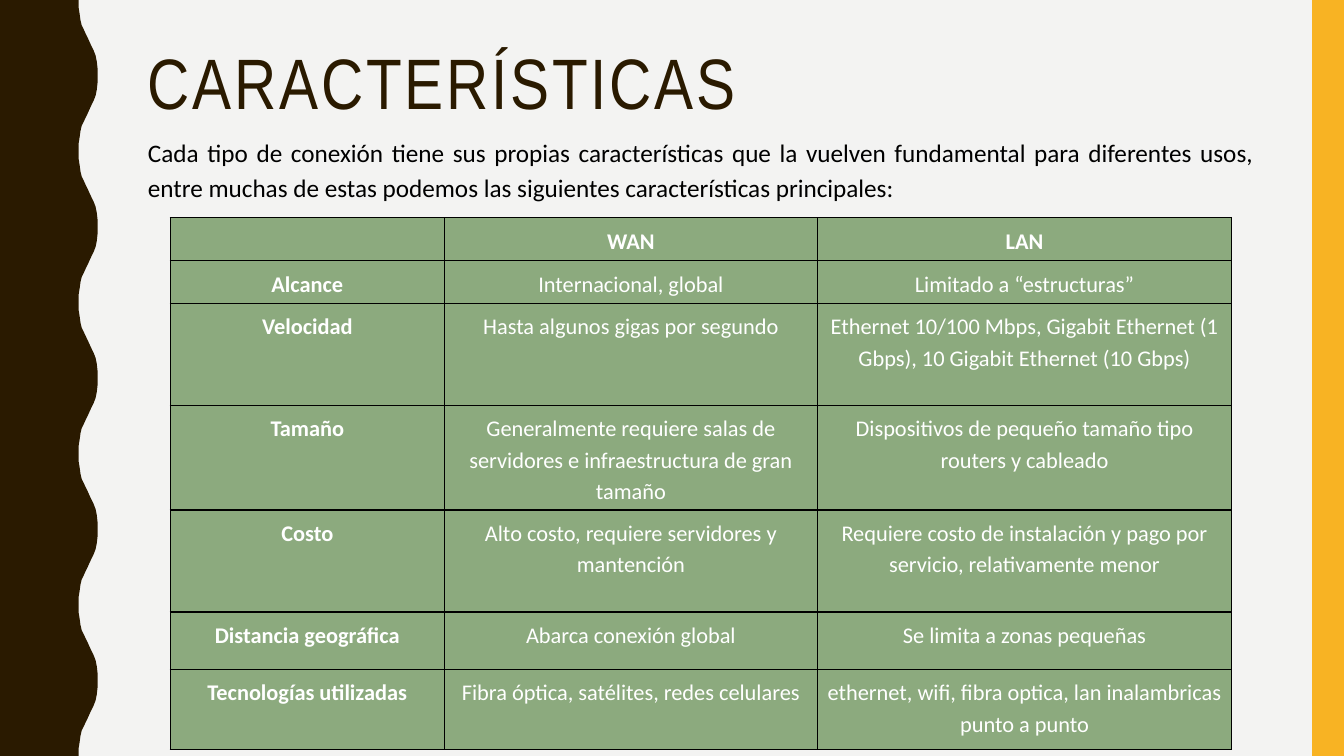
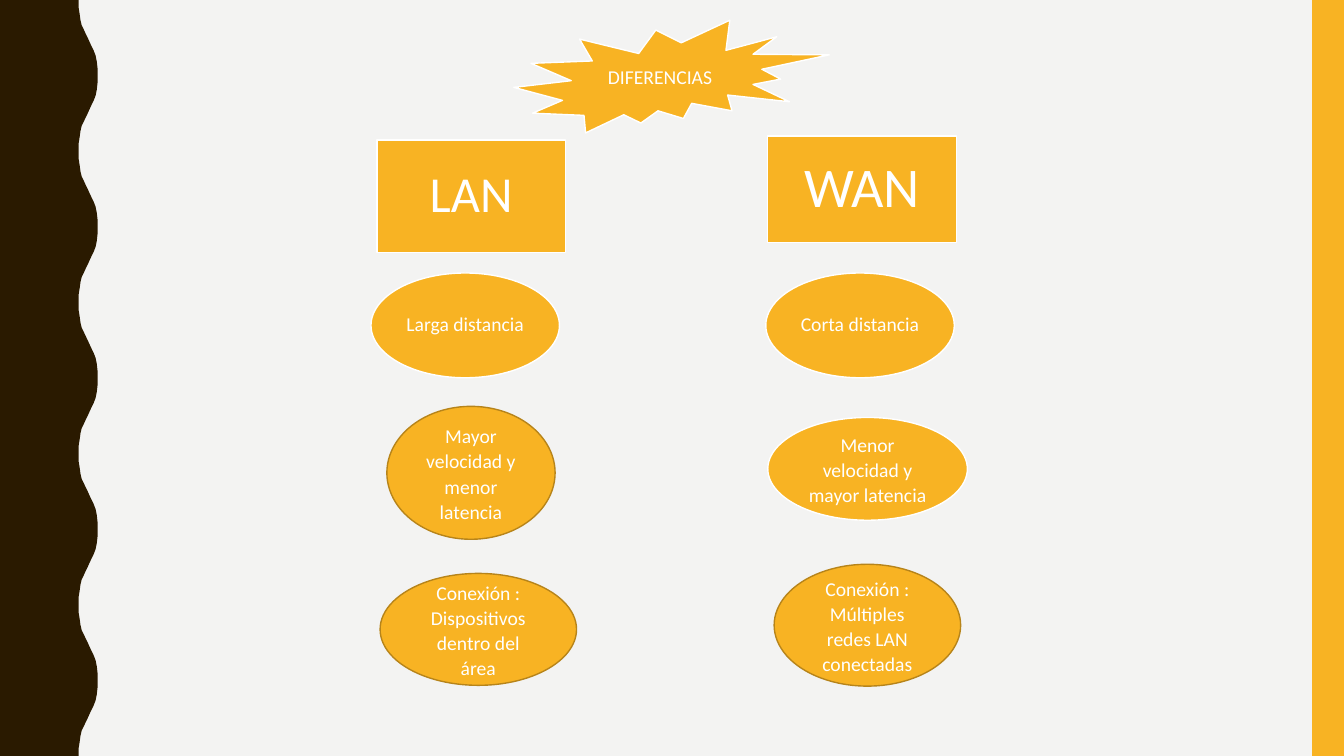
from lxml import etree
from pptx import Presentation
from pptx.dml.color import RGBColor
from pptx.enum import shapes, text
from pptx.oxml import ns
from pptx.util import Cm, Pt

PAPER = RGBColor(0xF3, 0xF3, 0xF2)
BROWN = RGBColor(0x2A, 0x1A, 0x00)
AMBER = RGBColor(0xF8, 0xB3, 0x23)
OCHRE = RGBColor(0xB7, 0x84, 0x1A)
GREEN = RGBColor(0x8C, 0xAA, 0x7E)
WHITE = RGBColor(0xFF, 0xFF, 0xFF)
BLACK = RGBColor(0x00, 0x00, 0x00)

TITLE_FONT = "Arial Narrow"
BODY_FONT = "Calibri"
WIDTH, HEIGHT = 33.87, 19.05

# Rising half of one wave (x, y); the falling half mirrors it
WAVES = 5
PERIOD = HEIGHT / WAVES
RISE = [(1.98, 0), (1.98, 0.18), (2.01, 0.36), (2.03, 0.51), (2.06, 0.64),
        (2.11, 0.74), (2.16, 0.85), (2.21, 0.95), (2.26, 1.06), (2.31, 1.17),
        (2.36, 1.27), (2.41, 1.4), (2.44, 1.55), (2.46, 1.73), (2.46, 1.9)]

TABLE_COLS = [6.91, 9.4, 10.44]
TABLE_ROWS = [0.94, 0.94, 2.57, 2.57, 2.57, 1.45, 2.01]
TABLE_TEXT = [
    ["", "WAN", "LAN"],
    ["Alcance", "Internacional, global", "Limitado a “estructuras”"],
    ["Velocidad", "Hasta algunos gigas por segundo",
     "Ethernet 10/100 Mbps, Gigabit Ethernet (1 Gbps), "
     "10 Gigabit Ethernet (10 Gbps)"],
    ["Tamaño",
     "Generalmente requiere salas de servidores e infraestructura de gran tamaño",
     "Dispositivos de pequeño tamaño tipo routers y cableado"],
    ["Costo", "Alto costo, requiere servidores y mantención",
     "Requiere costo de instalación y pago por servicio, relativamente menor"],
    ["Distancia geográfica", "Abarca conexión global",
     "Se limita a zonas pequeñas"],
    ["Tecnologías utilizadas", "Fibra óptica, satélites, redes celulares",
     "ethernet, wifi, fibra optica, lan inalambricas punto a punto"],
]


def set_text(tf, content, size, color, font=BODY_FONT, bold=False,
             align=text.PP_ALIGN.CENTER, spacing=1.0):
    """Write one formatted paragraph and return its run."""
    tf.word_wrap = True
    p = tf.paragraphs[0]
    p.text = content
    p.alignment = align
    p.line_spacing = spacing
    r = p.runs[0]
    r.font.name = font
    r.font.size = Pt(size)
    r.font.bold = bold
    r.font.color.rgb = color
    return r


def set_insets(frame, inset):
    """Give a text frame or a cell the same margin on every side."""
    frame.margin_left = frame.margin_right = Cm(inset)
    frame.margin_top = frame.margin_bottom = Cm(inset)


def paint(sp, fill, line=None):
    sp.shadow.inherit = False
    sp.fill.solid()
    sp.fill.fore_color.rgb = fill
    if line is None:
        sp.line.fill.background()
    else:
        sp.line.color.rgb = line
        sp.line.width = Pt(1)


def add_text(s, box, content, size, color, **style):
    sp = s.shapes.add_textbox(*map(Cm, box))
    return set_text(sp.text_frame, content, size, color, **style)


def add_node(s, kind, box, content, size=14, line=WHITE, spacing=0.9,
             inset=None):
    """Amber shape with centred white text."""
    sp = s.shapes.add_shape(kind, *map(Cm, box))
    paint(sp, AMBER, line)
    tf = sp.text_frame
    tf.vertical_anchor = text.MSO_ANCHOR.MIDDLE
    if inset is not None:
        set_insets(tf, inset)
    set_text(tf, content, size, WHITE, spacing=spacing)


def set_borders(cell, top=1, bottom=1):
    tcPr = cell._tc.get_or_add_tcPr()
    for side, width in (("L", 1), ("R", 1), ("T", top), ("B", bottom)):
        ln = etree.SubElement(tcPr, ns.qn("a:ln" + side), w=str(Pt(width)))
        fill = etree.SubElement(ln, ns.qn("a:solidFill"))
        etree.SubElement(fill, ns.qn("a:srgbClr"), val=str(BLACK))


def add_comparison(s, left, top):
    frame = s.shapes.add_table(len(TABLE_ROWS), len(TABLE_COLS), Cm(left),
                               Cm(top), Cm(sum(TABLE_COLS)),
                               Cm(sum(TABLE_ROWS)))
    table = frame.table
    for col, width in zip(table.columns, TABLE_COLS):
        col.width = Cm(width)
    for row, height in zip(table.rows, TABLE_ROWS):
        row.height = Cm(height)
    for i, row in enumerate(TABLE_TEXT):
        for j, content in enumerate(row):
            cell = table.cell(i, j)
            # The line under the LAN reach is slightly heavier
            set_borders(cell, top=1.5 if (i, j) == (2, 2) else 1,
                        bottom=1.5 if (i, j) == (1, 2) else 1)
            cell.fill.solid()
            cell.fill.fore_color.rgb = GREEN
            set_insets(cell, 0.15)
            if content:
                set_text(cell.text_frame, content, 16, WHITE,
                         bold=i == 0 or j == 0, spacing=1.15)


def add_slide(prs):
    """Blank slide with the wavy left band and the amber right band."""
    s = prs.slides.add_slide(prs.slide_layouts[6])
    wave = RISE + [(x, PERIOD - y) for x, y in reversed(RISE)]
    edge = [(x, y + n * PERIOD) for n in range(WAVES) for x, y in wave]
    outline = [(Cm(x), Cm(y)) for x, y in edge + [(0, HEIGHT)]]
    builder = s.shapes.build_freeform(0, 0)
    builder.add_line_segments(outline, close=True)
    paint(builder.convert_to_shape(), BROWN)
    band = s.shapes.add_shape(shapes.MSO_SHAPE.RECTANGLE, Cm(33.07), 0,
                              Cm(0.8), Cm(HEIGHT))
    paint(band, AMBER)
    return s


def build_features(prs):
    s = add_slide(prs)
    r = add_text(s, (3.48, 1.07, 15.88, 2.59), "CARACTERÍSTICAS", 51, BROWN,
                 font=TITLE_FONT, align=text.PP_ALIGN.LEFT, spacing=0.9)
    r.font._element.set("spc", "200")
    add_comparison(s, 4.29, 5.49)
    add_text(s, (3.48, 3.23, 28.37, 1.96),
             "Cada tipo de conexión tiene sus propias características que la "
             "vuelven fundamental para diferentes usos, entre muchas de estas "
             "podemos las siguientes características principales:",
             18, BLACK, align=text.PP_ALIGN.JUSTIFY, spacing=1.15)


def build_differences(prs):
    s = add_slide(prs)
    kinds = shapes.MSO_SHAPE
    # Heading and the two column heads
    add_node(s, kinds.EXPLOSION2, (12.95, 0.51, 7.95, 2.84), "DIFERENCIAS",
             inset=0.15)
    add_node(s, kinds.RECTANGLE, (19.35, 3.43, 4.75, 2.69), "WAN", 40,
             inset=0.43)
    add_node(s, kinds.RECTANGLE, (9.5, 3.53, 4.75, 2.84), "LAN", 36,
             inset=0.38)
    # Distance
    for left, content in ((9.35, "Larga distancia"), (19.3, "Corta distancia")):
        add_node(s, kinds.OVAL, (left, 6.88, 4.75, 2.64), content, inset=0.15)
    # Speed and connection
    for box, content, line in (
            ((9.75, 10.24, 4.24, 3.35), "Mayor velocidad y menor latencia", OCHRE),
            ((19.35, 10.52, 5.03, 2.59), "Menor velocidad y mayor latencia", WHITE),
            ((9.58, 14.45, 4.95, 2.82),
             "Conexión : Dispositivos dentro del área", OCHRE),
            ((19.51, 14.22, 4.7, 3.07),
             "Conexión : Múltiples redes LAN conectadas", OCHRE)):
        add_node(s, kinds.OVAL, box, content, line=line, spacing=1.07)


def main():
    prs = Presentation()
    prs.slide_width, prs.slide_height = Cm(WIDTH), Cm(HEIGHT)
    fill = prs.slide_master.background.fill
    fill.solid()
    fill.fore_color.rgb = PAPER
    build_features(prs)
    build_differences(prs)
    prs.save("out.pptx")


if __name__ == "__main__":
    main()
